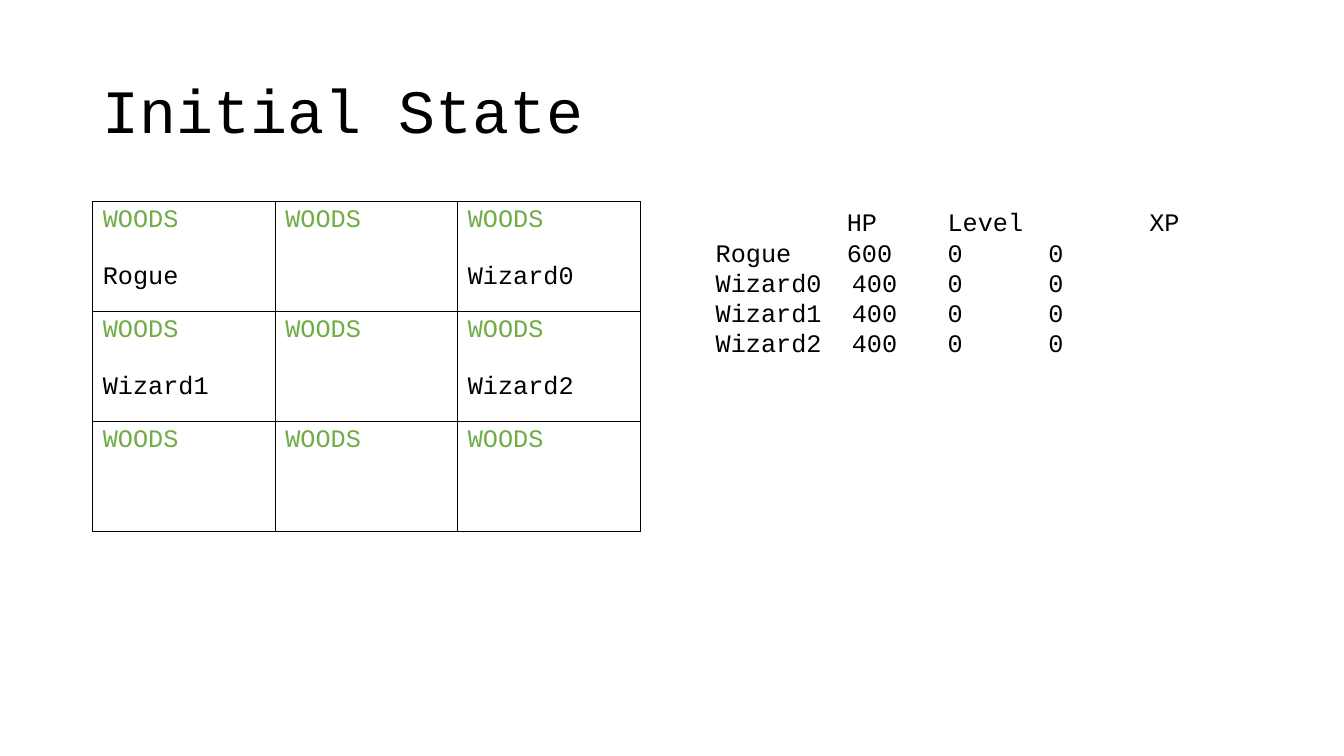
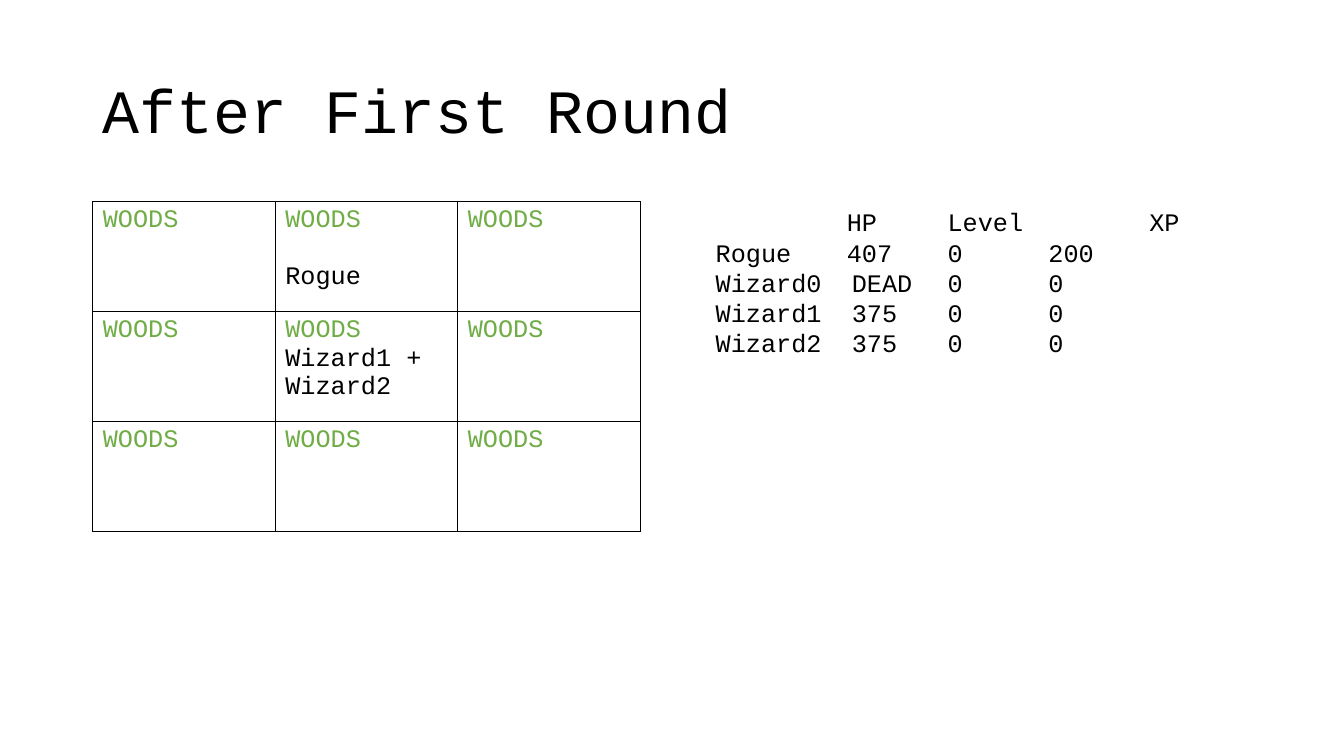
from lxml.etree import SubElement as Sub
from pptx import Presentation
from pptx.dml.color import RGBColor
from pptx.enum.text import MSO_ANCHOR as Anchor
from pptx.oxml import parse_xml
from pptx.oxml.ns import nsdecls, qn
from pptx.util import Inches, Pt

BLACK = RGBColor(0x00, 0x00, 0x00)
GREEN = RGBColor(0x70, 0xAD, 0x47)
FACE = "Courier New"
BODY = 18
LINE = 20.4  # height of one body line, in points

TITLE_BOX = (0.92, 0.4, 11.5, 1.45)
MAP_BOX = (0.92, 2, 5.43, 3.27)
STATS_BOX = (7, 2, 5.78, 1.62)

# Tab stops of the stats, in inches from the left of the text
HEAD_TABS = (1.3, 2.3, 4.3)
ROGUE_TABS = (1.3, 2.3, 3.3)
WIZARD_TABS = (1.35, 2.3, 3.3)

# Each state: title, {(row, column): (who, lines left free above)}, stats
STATES = [
    ("Initial State",
     {(0, 0): ("Rogue", 1), (0, 2): ("Wizard0", 1),
      (1, 0): ("Wizard1", 1), (1, 2): ("Wizard2", 1)},
     [("Rogue", "600", "0", "0"), ("Wizard0", "400", "0", "0"),
      ("Wizard1", "400", "0", "0"), ("Wizard2", "400", "0", "0")]),
    ("After First Round",
     {(0, 1): ("Rogue", 1), (1, 1): ("Wizard1 + Wizard2", 0)},
     [("Rogue", "407", "0", "200"), ("Wizard0", "DEAD", "0", "0"),
      ("Wizard1", "375", "0", "0"), ("Wizard2", "375", "0", "0")]),
]


def style(para, size=BODY, color=BLACK):
    font = para.font
    font.name, font.size, font.color.rgb = FACE, Pt(size), color


def add_box(slide, box):
    frame = slide.shapes.add_textbox(*map(Inches, box)).text_frame
    frame.word_wrap = True
    return frame


def add_title(slide, text, box):
    frame = add_box(slide, box)
    frame.vertical_anchor = Anchor.MIDDLE
    para = frame.paragraphs[0]
    para.text = text
    para.line_spacing = 0.9
    style(para, 44)


def add_edges(cell):
    props = cell._tc.get_or_add_tcPr()
    for i, side in enumerate("LRTB"):
        props.insert(i, parse_xml(
            f'<a:ln{side} {nsdecls("a")} w="{Pt(1)}"><a:solidFill>'
            f'<a:srgbClr val="{BLACK}"/></a:solidFill></a:ln{side}>'))


def add_map(slide, units, box, size=3):
    """Draw the square map of woods, with the units that stand on it."""
    x, y, w, h = map(Inches, box)
    table = slide.shapes.add_table(size, size, x, y, w, h).table
    table.first_row = table.horz_banding = False
    for r in range(size):
        for c in range(size):
            cell = table.cell(r, c)
            cell.fill.background()
            add_edges(cell)
            land = cell.text_frame.paragraphs[0]
            land.text = "WOODS"
            style(land, color=GREEN)
            if (r, c) in units:
                who, gap = units[r, c]
                para = cell.text_frame.add_paragraph()
                para.text = who
                para.space_before = Pt(gap * LINE)
                style(para)


def set_tabs(para, stops):
    tabs = Sub(para._p.get_or_add_pPr(), qn("a:tabLst"))
    for stop in stops:
        Sub(tabs, qn("a:tab"), pos=str(Inches(stop)), algn="l")


def add_stats(slide, rows, box):
    frame = add_box(slide, box)
    for i, row in enumerate([("", "HP", "Level", "XP"), *rows]):
        para = frame.add_paragraph() if i else frame.paragraphs[0]
        para.text = "\t".join(row)
        set_tabs(para, (HEAD_TABS, ROGUE_TABS)[i] if i < 2 else WIZARD_TABS)
        style(para)


def main():
    deck = Presentation()
    deck.slide_width, deck.slide_height = Inches(13.33), Inches(7.5)
    for title, units, rows in STATES:
        slide = deck.slides.add_slide(deck.slide_layouts[6])
        add_title(slide, title, TITLE_BOX)
        add_map(slide, units, MAP_BOX)
        add_stats(slide, rows, STATS_BOX)
    deck.save("out.pptx")


if __name__ == "__main__":
    main()
